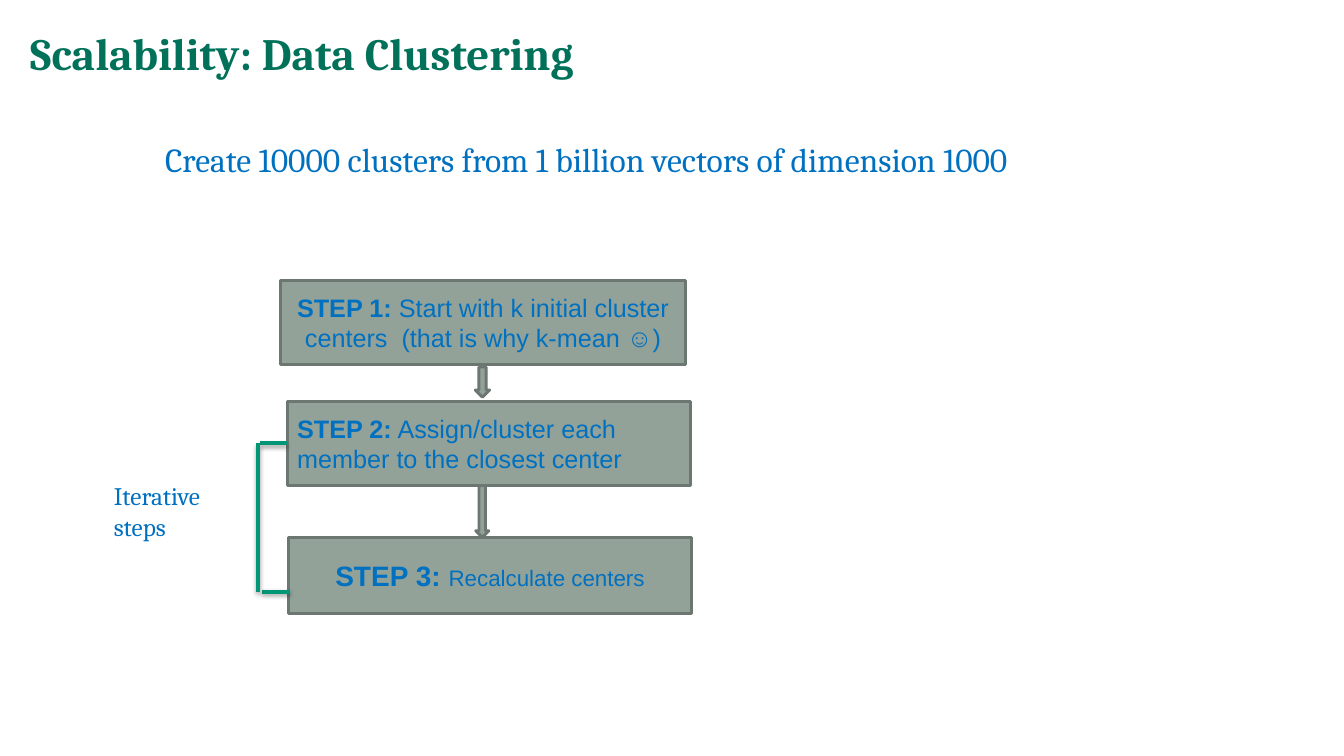
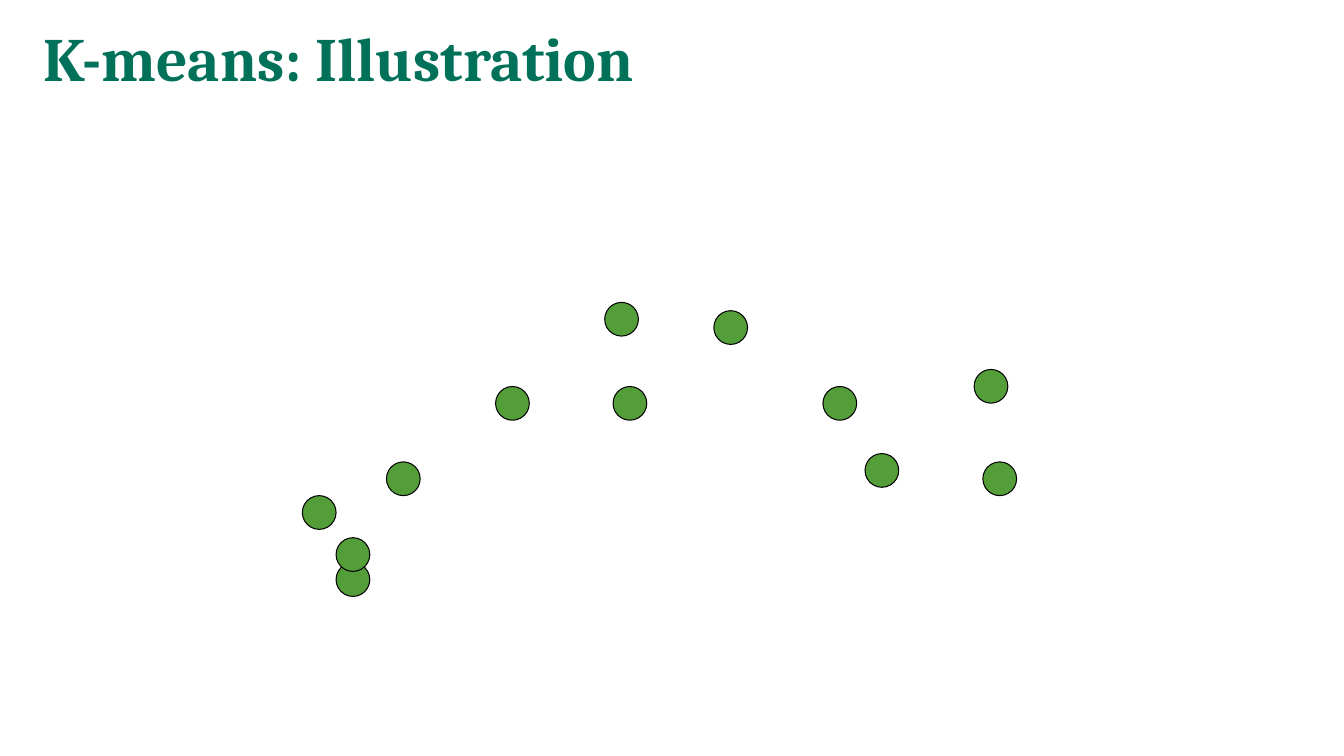
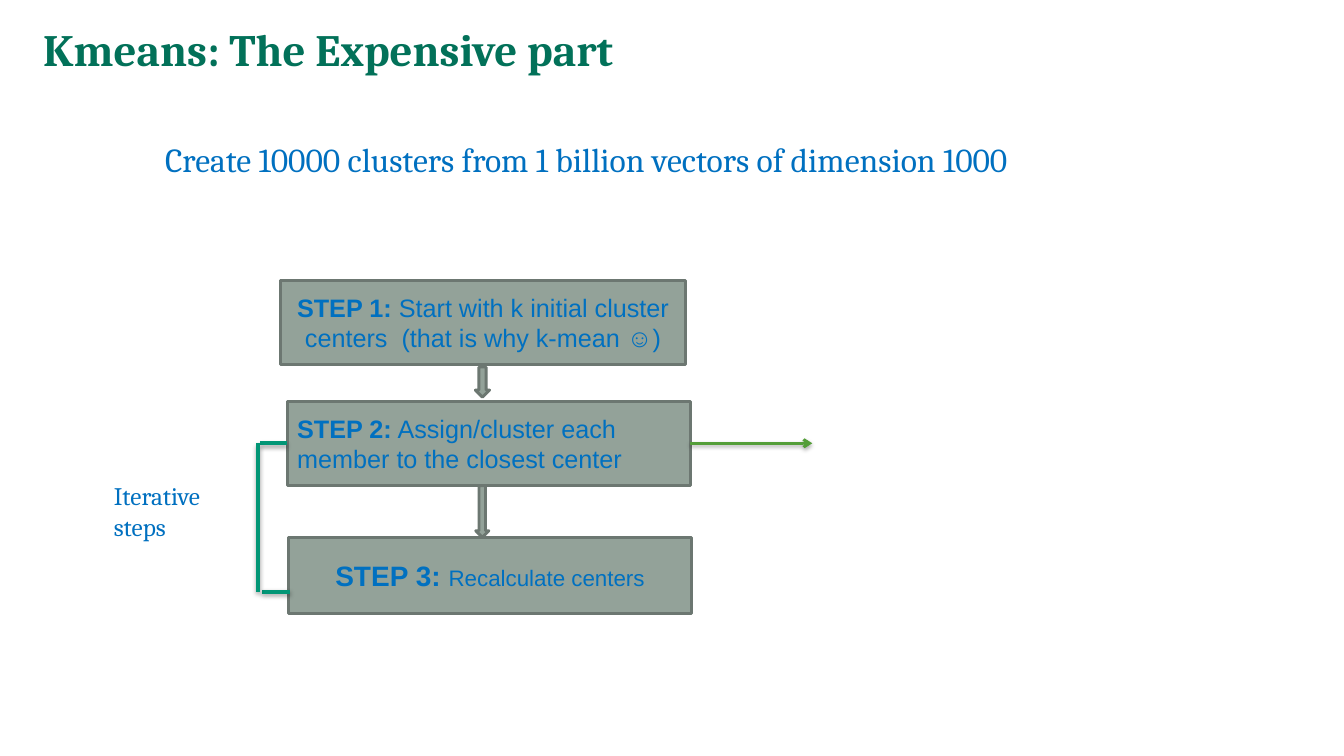
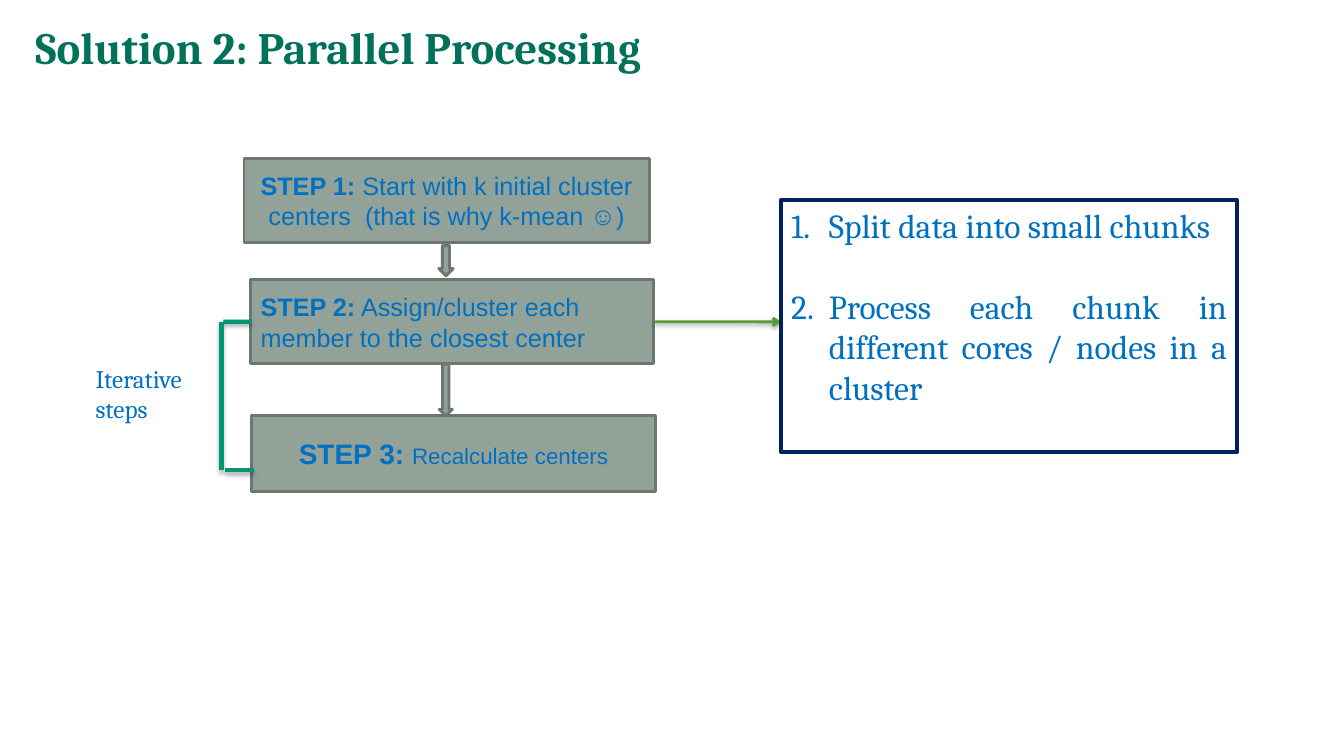
from dataclasses import dataclass

from pptx import Presentation
from pptx.dml.color import RGBColor
from pptx.enum.shapes import MSO_CONNECTOR, MSO_SHAPE as Shape
from pptx.enum.text import MSO_ANCHOR as Anchor, PP_ALIGN as Align
from pptx.oxml import parse_xml
from pptx.oxml.ns import nsdecls
from pptx.util import Cm, Pt


@dataclass(frozen=True)
class Theme:
    title: RGBColor = RGBColor.from_string("027159")
    text: RGBColor = RGBColor.from_string("0070C0")
    box: RGBColor = RGBColor.from_string("93A299")
    box_line: RGBColor = RGBColor.from_string("6C7771")
    bracket: RGBColor = RGBColor.from_string("029676")
    green: RGBColor = RGBColor.from_string("549E39")
    navy: RGBColor = RGBColor.from_string("002060")
    black: RGBColor = RGBColor.from_string("000000")
    serif: str = "Cambria"
    sans: str = "Arial"
    title_size: int = 32
    big_title_size: int = 44
    lead_size: int = 24
    step_size: int = 18
    strong_size: int = 20
    small_size: int = 16


theme = Theme()


def add_box(page, kind, place, fill, line, width):
    """Draw a preset shape; place is left, top, width, height in cm."""
    box = page.shapes.add_shape(kind, *map(Cm, place))
    box.shadow.inherit = False
    if fill is None:
        box.fill.background()
    else:
        box.fill.solid()
        box.fill.fore_color.rgb = fill
    box.line.color.rgb = line
    box.line.width = Pt(width)
    return box


def write(box, paragraphs, font, color=theme.text, anchor=Anchor.TOP, **layout):
    """Fill a box; each paragraph is a list of (text, size, bold) spans."""
    frame = box.text_frame
    frame.word_wrap = True
    frame.vertical_anchor = anchor
    for number, spans in enumerate(paragraphs):
        para = frame.add_paragraph() if number else frame.paragraphs[0]
        for name, value in layout.items():
            setattr(para, name, value)
        for text, size, bold in spans:
            span = para.add_run()
            span.text = text
            span.font.color.rgb = color
            for name, value in dict(name=font, size=Pt(size), bold=bold).items():
                setattr(span.font, name, value)
    return frame


STEPS = [
    ((7.07, 7.06, 10.21, 2.12), Align.CENTER,
     [("STEP 1:", theme.step_size, True),
      (" Start with k initial cluster centers  (that is why k-mean ☺)", theme.step_size, False)]),
    ((7.24, 10.11, 10.16, 2.12), Align.LEFT,
     [("STEP 2:", theme.step_size, True),
      (" Assign/cluster each member to the closest center", theme.step_size, False)]),
    ((7.27, 13.54, 10.16, 1.91), Align.CENTER,
     [("STEP 3: ", theme.strong_size, True),
      ("Recalculate centers", theme.small_size, False)]),
]
DOWN_ARROWS = [(11.98, 9.25, 0.36, 0.76), (11.99, 12.24, 0.33, 1.3)]
STEP2_MIDDLE, BRACKET_BOTTOM = 11.17, 14.91
LEAD = "Create 10000 clusters from 1 billion vectors of dimension 1000"
NOTES = ["Split data into small chunks",
         "Process each chunk in different cores / nodes in a cluster"]
DOT_SIZE = 0.85
DOTS = [(8.47, 14.18), (7.62, 12.49), (9.74, 11.64), (24.55, 9.31),
        (15.24, 7.62), (17.99, 7.83), (15.45, 9.74), (12.49, 9.74),
        (24.77, 11.64), (20.74, 9.74), (8.47, 13.55), (21.8, 11.43)]

# title, its size and place, then what the slide holds
PAGES = [
    ("Scalability: Data Clustering", theme.title_size, (0.51, 0.66, 27.43, 1.5),
     dict(shift=(0, 0), label=(2.62, 11.99, 3.35, 1.78), lead=LEAD)),
    ("K-means: Illustration", theme.big_title_size, (0.84, 0.53, 29.21, 2.03),
     dict(dots=DOTS)),
    ("Kmeans: The Expensive part", theme.title_size, (0.84, 0.56, 27.43, 1.5),
     dict(shift=(0, 0), label=(2.62, 11.99, 3.35, 1.78), lead=LEAD, arrow_end=20.47)),
    ("Solution 2: Parallel Processing", theme.title_size, (0.64, 0.51, 27.43, 1.5),
     dict(shift=(-0.92, -3.06), label=(2.16, 9.02, 3.84, 1.78), arrow_end=19.69, notes=NOTES)),
]

deck = Presentation()
deck.slide_width, deck.slide_height = Cm(33.87), Cm(19.05)

for title, title_size, title_place, content in PAGES:
    page = deck.slides.add_slide(deck.slide_layouts[6])
    write(page.shapes.add_textbox(*map(Cm, title_place)), [[(title, title_size, True)]],
          theme.serif, theme.title, Anchor.MIDDLE, line_spacing=0.9)

    for left, top in content.get("dots", []):
        add_box(page, Shape.OVAL, (left, top, DOT_SIZE, DOT_SIZE),
                theme.green, theme.black, 0.75)
    if "shift" not in content:
        continue

    if "lead" in content:
        write(page.shapes.add_textbox(Cm(3.91), Cm(3.38), Cm(24.82), Cm(1.27)),
              [[(content["lead"], theme.lead_size, False)]], theme.serif)

    # Step boxes and the block arrows between them
    across, down = content["shift"]
    steps = []
    for (left, top, width, height), align, spans in STEPS:
        step = add_box(page, Shape.RECTANGLE, (left + across, top + down, width, height),
                       theme.box, theme.box_line, 2.08)
        write(step, [spans], theme.sans, anchor=Anchor.MIDDLE, alignment=align)
        steps.append(step)
    for left, top, width, height in DOWN_ARROWS:
        add_box(page, Shape.DOWN_ARROW, (left + across, top + down, width, height),
                theme.box, theme.box_line, 2.08)

    # Bracket lines and side arrow: ends, colour, width, side of step 2 to join
    lines = [
        ((7.24, STEP2_MIDDLE, 6.55, STEP2_MIDDLE), theme.bracket, 3, 1),
        ((7.31, BRACKET_BOTTOM, 6.6, BRACKET_BOTTOM), theme.bracket, 3, None),
        ((6.5, STEP2_MIDDLE, 6.5, BRACKET_BOTTOM), theme.bracket, 3, None),
    ]
    if "arrow_end" in content:
        lines.append(((17.4, STEP2_MIDDLE, content["arrow_end"] - across, STEP2_MIDDLE),
                      theme.green, 2, 3))
    for (x1, y1, x2, y2), color, width, side in lines:
        line = page.shapes.add_connector(
            MSO_CONNECTOR.STRAIGHT, Cm(x1 + across), Cm(y1 + down),
            Cm(x2 + across), Cm(y2 + down))
        line.line.color.rgb = color
        line.line.width = Pt(width)
        if side is not None:
            line.begin_connect(steps[1], side)
        if side == 3:
            line.line._get_or_add_ln().append(
                parse_xml(f'<a:tailEnd {nsdecls("a")} type="arrow"/>'))
        line._element.spPr.append(parse_xml(
            f'<a:effectLst {nsdecls("a")}><a:outerShdw blurRad="40000" dist="22000" '
            'dir="5400000" rotWithShape="0"><a:srgbClr val="000000">'
            '<a:alpha val="35000"/></a:srgbClr></a:outerShdw></a:effectLst>'))

    write(page.shapes.add_textbox(*map(Cm, content["label"])),
          [[("Iterative steps", theme.step_size, False)]], theme.serif)

    if "notes" in content:
        notes = add_box(page, Shape.RECTANGLE, (19.69, 5.04, 11.48, 6.35),
                        None, theme.navy, 3)
        frame = write(notes, [[(note, theme.lead_size, False)] for note in content["notes"]],
                      theme.serif, alignment=Align.JUSTIFY)
        for number, para in enumerate(frame.paragraphs):
            props = para._p.get_or_add_pPr()
            props.set("marL", str(Cm(0.95)))
            props.set("indent", str(-Cm(0.95)))
            for xml in (f'<a:buClr {nsdecls("a")}><a:srgbClr val="{theme.text}"/></a:buClr>',
                        f'<a:buFont {nsdecls("a")} typeface="+mj-lt"/>',
                        f'<a:buAutoNum {nsdecls("a")} type="arabicPeriod"/>'):
                props.append(parse_xml(xml))
            if number:
                para.space_before = Pt(29)

deck.save("out.pptx")
